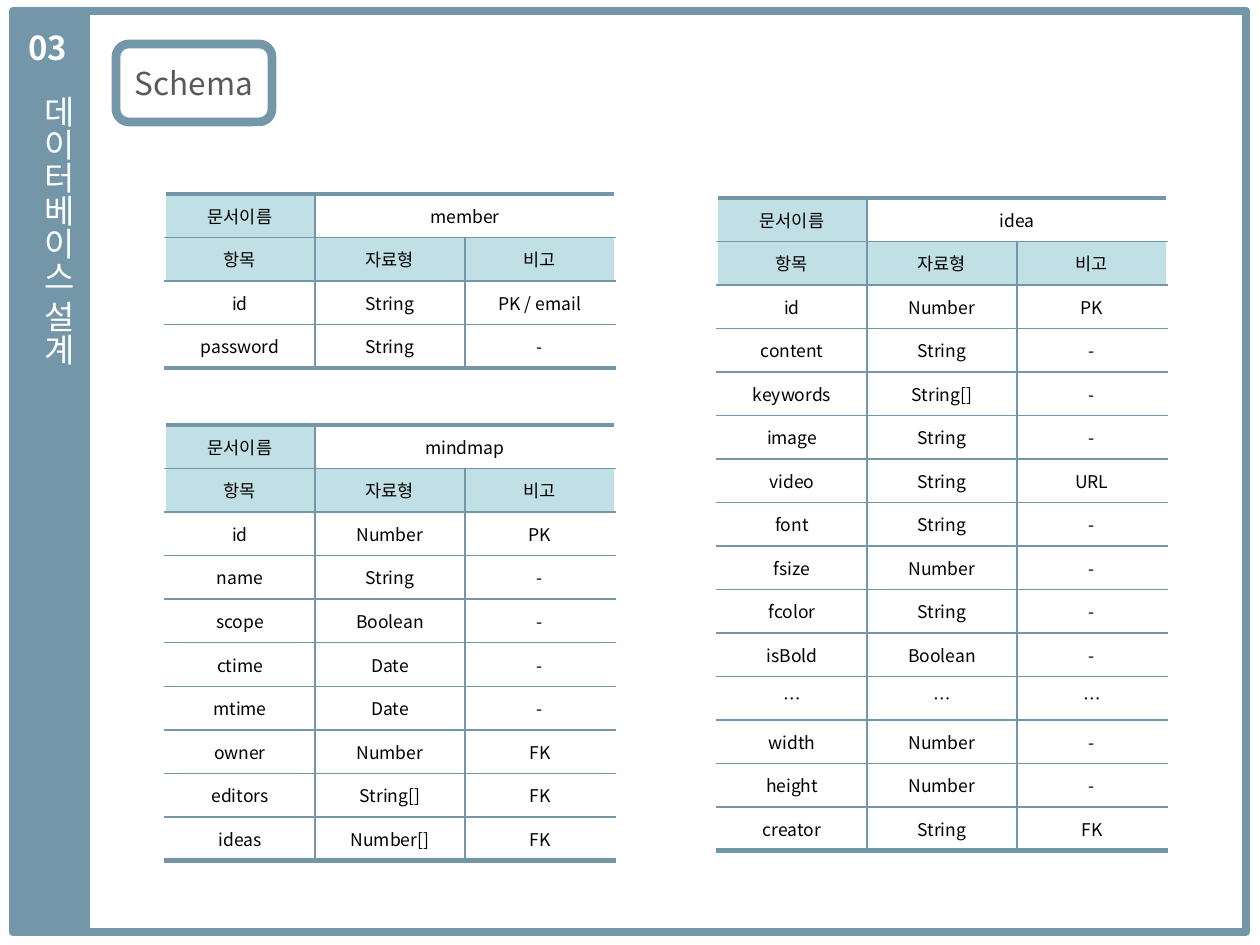
"""Build the database design slide with the schema tables."""
from lxml.etree import SubElement
from pptx import Presentation
from pptx.dml.color import RGBColor
from pptx.enum.shapes import MSO_SHAPE as SHAPE
from pptx.enum.text import MSO_ANCHOR as ANCHOR, MSO_AUTO_SIZE as AUTO, PP_ALIGN as ALIGN
from pptx.oxml.ns import qn
from pptx.util import Emu, Pt

FONT = "Noto Sans CJK KR"
STEEL, PALE, WHITE, GRAY, BLACK = "7396A9", "C0E0E6", "FFFFFF", "595959", "000000"
rgb = RGBColor.from_string


def px(*lengths):
    return [Emu(round(n * 914400 / 126)) for n in lengths]


def write(frame, text, size=10, color=BLACK, bold=False, align=ALIGN.CENTER):
    paragraph = frame.paragraphs[0]
    paragraph.alignment = align
    run = paragraph.add_run()
    run.text = text
    run.font.size = Pt(size)
    run.font.bold = bold
    run.font.name = FONT
    run.font.color.rgb = rgb(color)
    SubElement(run.font._element, qn("a:ea"), typeface=FONT)


deck = Presentation()
deck.slide_width, deck.slide_height = px(1260, 945)
slide = deck.slides.add_slide(deck.slide_layouts[6])
page = slide.shapes.add_group_shape().shapes
heading = slide.shapes.add_group_shape().shapes

for group, geometry, box, fill in [
    (page, SHAPE.RECTANGLE, (13, 11, 1233, 921), None),
    (page, SHAPE.RECTANGLE, (13, 11, 77, 921), STEEL),
    (heading, SHAPE.ROUNDED_RECTANGLE, (116, 44, 156, 78), None),
]:
    panel = group.add_shape(geometry, *px(*box))
    panel.shadow.inherit = False
    if fill:
        panel.fill.solid()
        panel.fill.fore_color.rgb = rgb(fill)
        panel.line.fill.background()
    else:
        panel.fill.background()
        panel.line.color.rgb = rgb(STEEL)
        panel.line.width = Pt(5)

for group, box, text, vertical, style in [
    (page, (16, 21, 67, 53), "03", False,
     dict(size=18.8, color=WHITE, bold=True, align=ALIGN.LEFT)),
    (page, (18, 83, 66, 315), "데이터베이스 설계", True,
     dict(size=18.8, color=WHITE, align=ALIGN.LEFT)),
    (heading, (116, 58, 156, 50), "Schema", False, dict(size=18, color=GRAY)),
]:
    label = group.add_textbox(*px(*box)).text_frame
    label.word_wrap = not vertical
    label.auto_size = AUTO.SHAPE_TO_FIT_TEXT
    if vertical:
        label._txBody.bodyPr.set("vert", "eaVert")
    write(label, text, **style)

schemas = [
    ("member", (165, 194, 450, 174), [
        ("id", "String", "PK / email"),
        ("password", "String", "-"),
    ]),
    ("mindmap", (165, 425, 450, 436), [
        ("id", "Number", "PK"),
        ("name", "String", "-"),
        ("scope", "Boolean", "-"),
        ("ctime", "Date", "-"),
        ("mtime", "Date", "-"),
        ("owner", "Number", "FK"),
        ("editors", "String[]", "FK"),
        ("ideas", "Number[]", "FK"),
    ]),
    ("idea", (717, 198, 450, 653), [
        ("id", "Number", "PK"),
        ("content", "String", "-"),
        ("keywords", "String[]", "-"),
        ("image", "String", "-"),
        ("video", "String", "URL"),
        ("font", "String", "-"),
        ("fsize", "Number", "-"),
        ("fcolor", "String", "-"),
        ("isBold", "Boolean", "-"),
        ("…", "…", "…"),
        ("width", "Number", "-"),
        ("height", "Number", "-"),
        ("creator", "String", "FK"),
    ]),
]

for document, box, fields in schemas:
    rows = [("문서이름", document, ""), ("항목", "자료형", "비고"), *fields]
    table = slide.shapes.add_table(len(rows), 3, *px(*box)).table
    table.first_row = table.horz_banding = False
    table.cell(0, 1).merge(table.cell(0, 2))
    for r, row in enumerate(rows):
        for c, text in enumerate(row):
            cell = table.cell(r, c)
            cell.vertical_anchor = ANCHOR.MIDDLE
            if text:
                write(cell.text_frame, text)
            right_end = c == 2 or (r == 0 and c == 1)
            properties = cell._tc.get_or_add_tcPr()
            for side, color, width in [
                ("L", STEEL if c else WHITE, 1),
                ("R", WHITE if right_end else STEEL, 1),
                ("T", STEEL, 1 if r else 3),
                ("B", STEEL, 3 if r == len(rows) - 1 else 1),
            ]:
                border = SubElement(properties, qn(f"a:ln{side}"), w=str(Pt(width)))
                SubElement(SubElement(border, qn("a:solidFill")), qn("a:srgbClr"), val=color)
            if r == 1 or (r == 0 and c == 0):
                cell.fill.solid()
                cell.fill.fore_color.rgb = rgb(PALE)
            else:
                cell.fill.background()

deck.save("out.pptx")
